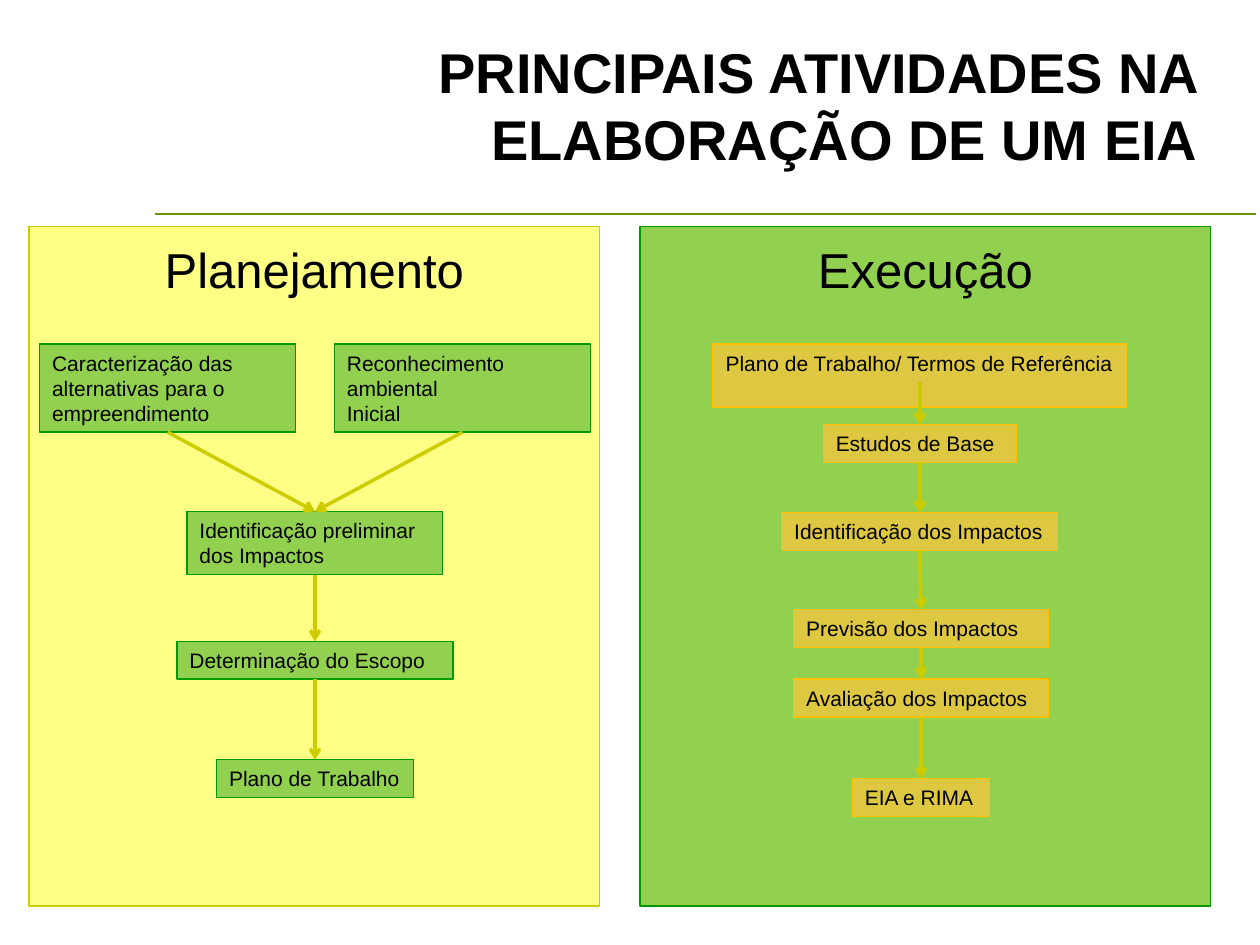
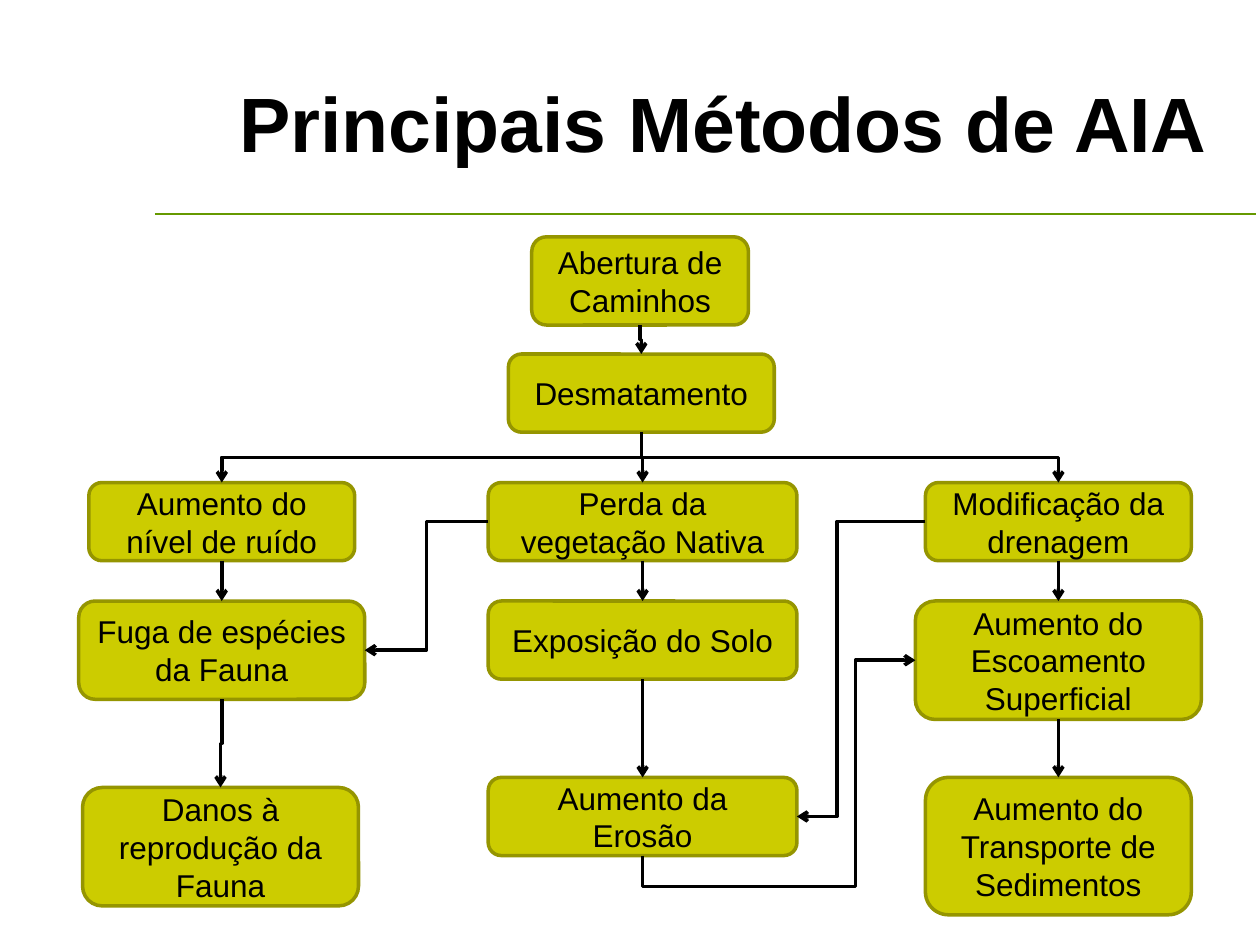
"""Build two slides on environmental impact studies: activity flows and an impact network."""
from lxml.etree import SubElement
from pptx import Presentation
from pptx.dml.color import RGBColor
from pptx.enum.shapes import MSO_CONNECTOR as LINE, MSO_SHAPE as SHAPE
from pptx.enum.text import MSO_ANCHOR as ANCHOR, PP_ALIGN as ALIGN
from pptx.oxml.ns import qn
from pptx.util import Emu, Inches, Pt

COLORS = {
    "text": "000000", "rule": "669900", "arrow": "CCCC00",
    "yellow": "FFFF85", "green": "92D050", "green_edge": "009900",
    "gold": "DEC842", "gold_edge": "FFC000",
    "olive": "CCCC00", "olive_edge": "959500",
}
FONT = "Arial"
TOP, LEFT, BOTTOM, RIGHT = 0, 1, 2, 3
ONE_LINE = 0.3

PANELS = [
    ("Planejamento", 0.23, "yellow", "arrow"),
    ("Execução", 5.08, "green", "green_edge"),
]
PLANNING_INPUTS = [
    ("Caracterização das alternativas para o empreendimento", 1.33, 2.73, 2.03, 0.7),
    ("Reconhecimento ambiental\nInicial", 3.67, 2.73, 2.03, 0.7),
]
PLANNING_STEPS = [
    ("Identificação preliminar dos Impactos", 2.5, 4.06, 2.03, 0.5),
    ("Determinação do Escopo", 2.5, 5.09, 2.19, ONE_LINE),
    ("Plano de Trabalho", 2.5, 6.03, 1.56, ONE_LINE),
]
EXECUTION_STEPS = [
    ("Plano de Trabalho/ Termos de Referência", 7.3, 2.73, 3.28, 0.5),
    ("Estudos de Base", 7.3, 3.37, 1.53, ONE_LINE),
    ("Identificação dos Impactos", 7.3, 4.07, 2.19, ONE_LINE),
    ("Previsão dos Impactos", 7.31, 4.84, 2.02, ONE_LINE),
    ("Avaliação dos Impactos", 7.31, 5.39, 2.02, ONE_LINE),
    ("EIA e RIMA", 7.31, 6.18, 1.09, ONE_LINE),
]

IMPACTS = {
    "roads": ("Abertura de Caminhos", 5.08, 1.88, 1.72, 0.7),
    "clearing": ("Desmatamento", 5.09, 2.81, 2.11, 0.62),
    "noise": ("Aumento do nível de ruído", 1.76, 3.83, 2.11, 0.62),
    "vegetation": ("Perda da vegetação Nativa", 5.1, 3.83, 2.45, 0.62),
    "drainage": ("Modificação da drenagem", 8.4, 3.83, 2.11, 0.62),
    "flight": ("Fuga de espécies da Fauna", 1.76, 4.77, 2.27, 0.78),
    "soil": ("Exposição do Solo", 5.1, 4.77, 2.45, 0.62),
    "runoff": ("Aumento do Escoamento Superficial", 8.4, 4.77, 2.27, 0.94),
    "breeding": ("Danos à reprodução da Fauna", 1.75, 6.25, 2.19, 0.94),
    "erosion": ("Aumento da Erosão", 5.1, 6.17, 2.45, 0.62),
    "sediment": ("Aumento do Transporte de Sedimentos", 8.4, 6.17, 2.11, 1.09),
}
DOWNWARD_LINKS = [
    ("roads", "clearing"), ("clearing", "vegetation"), ("clearing", "noise"),
    ("clearing", "drainage"), ("vegetation", "soil"), ("noise", "flight"),
    ("flight", "breeding"), ("soil", "erosion"), ("drainage", "runoff"),
    ("runoff", "sediment"),
]
SIDE_LINKS = [
    ("vegetation", LEFT, "flight", RIGHT, (0.5,)),
    ("drainage", LEFT, "erosion", RIGHT, (0.69,)),
    ("erosion", BOTTOM, "runoff", LEFT, (-0.16, 0.78)),
]


def color(name):
    return RGBColor.from_string(COLORS[name])


def write(shape, text, size, bold=False, align=ALIGN.LEFT, anchor=ANCHOR.TOP, inset=0.05):
    frame = shape.text_frame
    frame.word_wrap = True
    frame.vertical_anchor = anchor
    frame.margin_left = frame.margin_right = Inches(0.1)
    frame.margin_top, frame.margin_bottom = Inches(inset), Inches(0.05)
    frame.text = text
    for paragraph in frame.paragraphs:
        paragraph.alignment = align
        font = paragraph.font
        font.name, font.size, font.bold = FONT, Pt(size), bold
        font.color.rgb = color("text")


def add_box(slide, kind, bounds, fill, edge, weight=0.75):
    shape = slide.shapes.add_shape(kind, *map(Inches, bounds))
    shape.shadow.inherit = False
    shape.fill.solid()
    shape.fill.fore_color.rgb = color(fill)
    shape.line.color.rgb = color(edge)
    shape.line.width = Pt(weight)
    return shape


def add_step(slide, step, fill, edge):
    text, center, top, width, height = step
    bounds = (center - width / 2, top, width, height)
    write(add_box(slide, SHAPE.RECTANGLE, bounds, fill, edge), text, 12)


def add_line(slide, start, end, line_color, weight=2, kind=LINE.STRAIGHT, head=True):
    connector = slide.shapes.add_connector(kind, *map(Inches, (*start, *end)))
    connector.line.color.rgb = color(line_color)
    connector.line.width = Pt(weight)
    if head:
        SubElement(connector.line._get_or_add_ln(), qn("a:tailEnd"), type="arrow")
    SubElement(connector._element.spPr, qn("a:effectLst"))
    return connector


def link_steps(slide, first, second):
    _, start_x, top, _, height = first
    start_y = top + (ONE_LINE if first is EXECUTION_STEPS[0] else height)
    add_line(slide, (start_x, start_y), second[1:3], "arrow")


def turn_quarter(connector):
    """Rotate the geometry by 90 degrees so that the route leaves vertically."""
    x1, y1, x2, y2 = connector.begin_x, connector.begin_y, connector.end_x, connector.end_y
    middle_x, middle_y = (x1 + x2) // 2, (y1 + y2) // 2
    half_x, half_y = (x2 - x1) // 2, (y2 - y1) // 2
    connector.begin_x, connector.begin_y = Emu(middle_x - half_y), Emu(middle_y + half_x)
    connector.end_x, connector.end_y = Emu(middle_x + half_y), Emu(middle_y - half_x)
    connector._element.spPr.find(qn("a:xfrm")).set("rot", "5400000")


def link_impacts(slide, source, source_side, target, target_side, bends=(0.5,)):
    connector = add_line(slide, (0, 0), (0, 0), "text", kind=LINE.ELBOW)
    connector.begin_connect(source, source_side)
    connector.end_connect(target, target_side)
    if source_side == BOTTOM:
        turn_quarter(connector)
    geometry = connector._element.spPr.find(qn("a:prstGeom"))
    geometry.set("prst", f"bentConnector{len(bends) + 2}")
    guides = geometry.find(qn("a:avLst"))
    for number, bend in enumerate(bends, 1):
        SubElement(guides, qn("a:gd"), name=f"adj{number}", fmla=f"val {round(bend * 100000)}")


def add_slide(presentation, title, bounds, size, anchor):
    slide = presentation.slides.add_slide(presentation.slide_layouts[6])
    add_line(slide, (1.23, 1.7), (9.97, 1.7), "rule", weight=1, head=False)
    box = slide.shapes.add_textbox(*map(Inches, bounds))
    write(box, title, size, bold=True, align=ALIGN.RIGHT, anchor=anchor)
    return slide


def build_activities(presentation):
    slide = add_slide(presentation, "PRINCIPAIS ATIVIDADES NA ELABORAÇÃO DE UM EIA",
                      (1.41, 0.39, 8.2, 1.02), 32, ANCHOR.BOTTOM)
    for heading, left, fill, edge in PANELS:
        panel = add_box(slide, SHAPE.RECTANGLE, (left, 1.8, 4.53, 5.39), fill, edge)
        write(panel, heading, 28, align=ALIGN.CENTER, inset=0.1)
    for step in PLANNING_INPUTS + PLANNING_STEPS:
        add_step(slide, step, "green", "green_edge")
    for step in EXECUTION_STEPS:
        add_step(slide, step, "gold", "gold_edge")
    for step in PLANNING_INPUTS:
        link_steps(slide, step, PLANNING_STEPS[0])
    for steps in (PLANNING_STEPS, EXECUTION_STEPS):
        for first, second in zip(steps, steps[1:]):
            link_steps(slide, first, second)


def build_network(presentation):
    slide = add_slide(presentation, "Principais Métodos de AIA",
                      (0.86, 0.55, 8.83, 0.86), 44, ANCHOR.TOP)
    boxes = {}
    for name, (text, center, top, width, height) in IMPACTS.items():
        bounds = (center - width / 2, top, width, height)
        boxes[name] = add_box(slide, SHAPE.ROUNDED_RECTANGLE, bounds, "olive", "olive_edge", 2)
        write(boxes[name], text, 18, align=ALIGN.CENTER, anchor=ANCHOR.MIDDLE)
    for source, target in DOWNWARD_LINKS:
        link_impacts(slide, boxes[source], BOTTOM, boxes[target], TOP)
    for source, source_side, target, target_side, bends in SIDE_LINKS:
        link_impacts(slide, boxes[source], source_side, boxes[target], target_side, bends)


def main():
    presentation = Presentation()
    presentation.slide_width, presentation.slide_height = Inches(10), Inches(7.5)
    build_activities(presentation)
    build_network(presentation)
    presentation.save("out.pptx")


if __name__ == "__main__":
    main()
